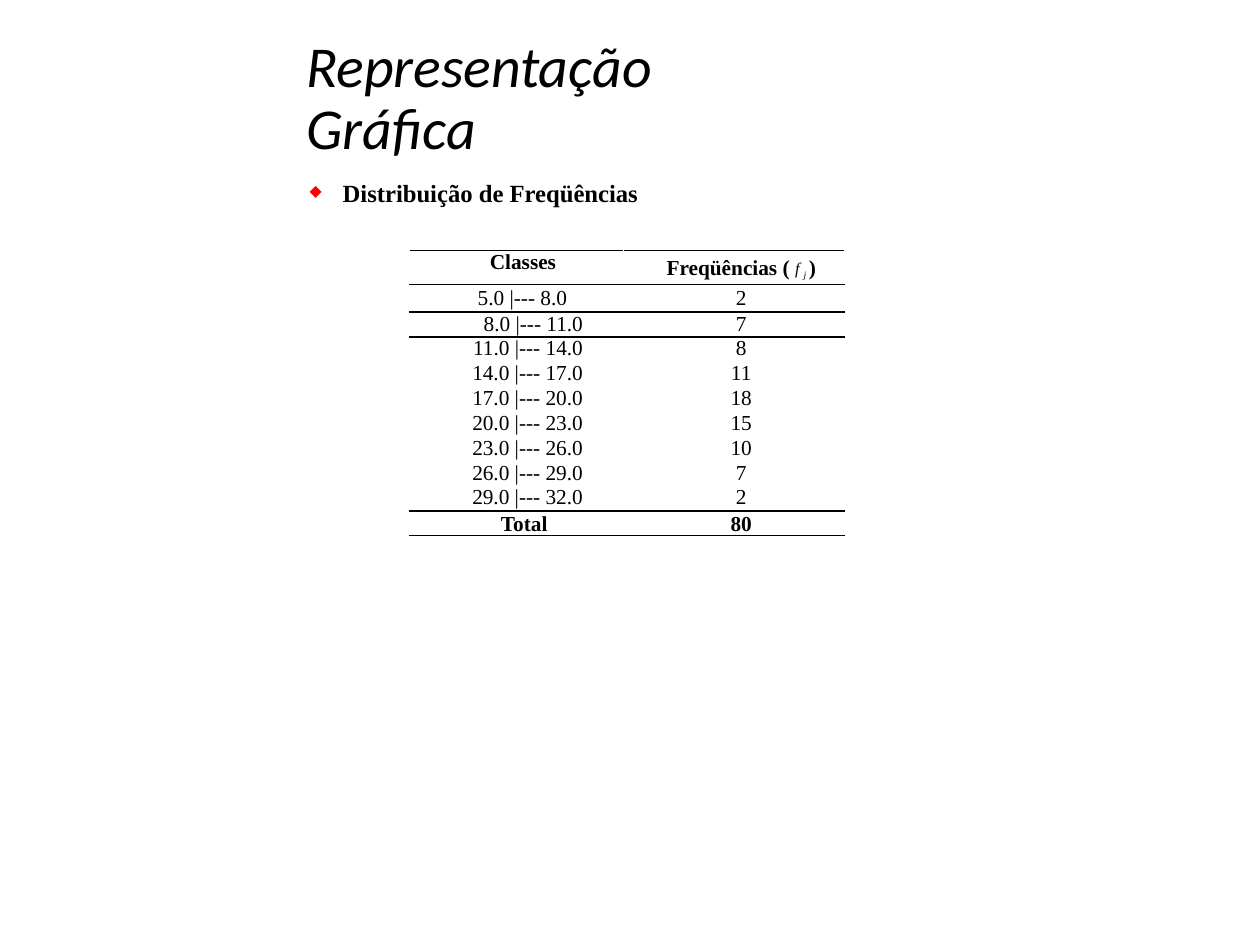
from dataclasses import dataclass

from lxml import etree
from pptx import Presentation
from pptx import util as u
from pptx.dml.color import RGBColor
from pptx.enum import text
from pptx.oxml.ns import qn


@dataclass(frozen=True)
class Theme:
    ink: str = "000000"
    accent: str = "FF0000"
    heading_font: str = "Calibri"
    body_font: str = "Times New Roman"
    title: float = 51.5
    subtitle: float = 22
    cell: float = 19
    symbol: float = 25
    index: float = 15
    rule: float = 1.5


LEFT, CENTER, RIGHT = text.PP_ALIGN.LEFT, text.PP_ALIGN.CENTER, text.PP_ALIGN.RIGHT


class Deck:
    def __init__(self, prs, theme):
        self.prs, self.theme = prs, theme
        self.s = prs.slides.add_slide(prs.slide_layouts[6])

    def area(self, x, y, w, h):
        sizes = (self.prs.slide_width, self.prs.slide_height) * 2
        return [int(size * v / 100) for size, v in zip(sizes, (x, y, w, h))]

    def style(self, r, size, bold=False, italic=False, font=None, baseline=0):
        f = r.font
        f.name, f.size = font or self.theme.body_font, u.Pt(size)
        f.bold, f.italic = bold, italic
        f.color.rgb = RGBColor.from_string(self.theme.ink)
        if baseline:
            r._r.get_or_add_rPr().set("baseline", str(baseline * 1000))

    def textbox(self, box, wording, anchor=text.MSO_ANCHOR.TOP, **look):
        sp = self.s.shapes.add_textbox(*self.area(*box))
        tf = sp.text_frame
        tf.word_wrap = True
        tf.vertical_anchor = anchor
        tf.margin_left = tf.margin_right = tf.margin_bottom = 0
        tf.margin_top = u.Inches(0.01)
        tf.text = wording
        p = tf.paragraphs[0]
        self.style(p.runs[0], **look)
        return p

    def title(self, box, wording):
        t = self.theme
        p = self.textbox(box, wording, text.MSO_ANCHOR.MIDDLE,
                         size=t.title, italic=True, font=t.heading_font)
        p.line_spacing = 0.9

    def bullet(self, box, wording):
        p = self.textbox(box, wording, size=self.theme.subtitle, bold=True)
        pPr = p._p.get_or_add_pPr()
        pPr.set("marL", str(u.Inches(0.43)))
        pPr.set("indent", str(u.Inches(-0.41)))
        color = etree.SubElement(pPr, qn("a:buClr"))
        etree.SubElement(color, qn("a:srgbClr"), val=self.theme.accent)
        etree.SubElement(pPr, qn("a:buSzPct"), val="64000")
        etree.SubElement(pPr, qn("a:buChar"), char="◆")

    def table(self, box, rows, col_shares, row_shares):
        x, y, w, h = self.area(*box)
        tbl = self.s.shapes.add_table(len(rows), len(col_shares), x, y, w, h).table
        tbl.first_row = tbl.horz_banding = False
        for col, share in zip(tbl.columns, col_shares):
            col.width = int(w * share / 100)
        for row, share in zip(tbl.rows, row_shares):
            row.height = int(h * share / 100)
        return tbl

    def cell(self, c, runs, align, indent=0, leading=None, right=0, rules=()):
        c.margin_left = c.margin_top = c.margin_bottom = 0
        c.margin_right = u.Inches(right)
        p = c.text_frame.paragraphs[0]
        p.alignment = align
        if leading:
            p.line_spacing = u.Pt(leading)
        p._p.get_or_add_pPr().set("marL", str(u.Inches(indent)))
        for wording, look in runs:
            r = p.add_run()
            r.text = wording
            self.style(r, **{"size": self.theme.cell, **look})
        tcPr = c._tc.get_or_add_tcPr()
        for side in rules:
            ln = etree.SubElement(tcPr, qn(f"a:{side}"), w=str(u.Pt(self.theme.rule)))
            fill = etree.SubElement(ln, qn("a:solidFill"))
            etree.SubElement(fill, qn("a:srgbClr"), val=self.theme.ink)
        c.fill.background()


def main():
    prs = Presentation()
    prs.slide_width, prs.slide_height = u.Inches(15.59), u.Inches(11.69)
    theme = Theme()
    deck = Deck(prs, theme)
    deck.title((24.3, 3.76, 29.44, 13.5), "Representação Gráfica")
    deck.bullet((24.44, 18.73, 26.43, 3.25), "Distribuição de Freqüências")

    bold = {"bold": True}
    header = [
        [("Classes", bold)],
        [("Freqüências ( ", bold),
         ("f ", {"size": theme.symbol, "italic": True, "baseline": 3}),
         ("j ", {"size": theme.index, "italic": True, "baseline": -17}),
         (")", bold)],
    ]
    counts = [2, 7, 8, 11, 18, 15, 10, 7, 2]
    start, step = 5, 3
    rows = [header]
    for i, count in enumerate(counts):
        low = start + step * i
        interval = f"{low:.1f} |--- {low + step:.1f}"
        rows.append([[(interval, {})], [(str(count), {})]])
    rows.append([[("Total", bold)], [(str(sum(counts)), bold)]])

    last = len(rows) - 1
    heights = [11.9, 9.63]
    heights += [(100 - sum(heights)) / (last - 1)] * (last - 1)
    tbl = deck.table((32.46, 26.52, 34.57, 30.2), rows, [49.2, 50.8], heights)
    class_looks = {
        0: {"align": LEFT, "indent": 1},
        1: {"align": LEFT, "indent": 0.85},
        last: {"align": CENTER, "indent": 0.2},
    }
    leadings = {0: None, 1: 22.8, last - 1: 20.3, last: 22.1}
    ruled = {0, 1, 2, last, last + 1}
    for i, (interval, count) in enumerate(rows):
        shared = {
            "leading": leadings.get(i, 21.1),
            "rules": [side for side, edge in (("lnT", i), ("lnB", i + 1)) if edge in ruled],
        }
        look = class_looks.get(i, {"align": RIGHT, "right": 0.5})
        deck.cell(tbl.cell(i, 0), interval, **look, **shared)
        deck.cell(tbl.cell(i, 1), count, CENTER, indent=0.18, **shared)

    prs.save("out.pptx")


if __name__ == "__main__":
    main()
